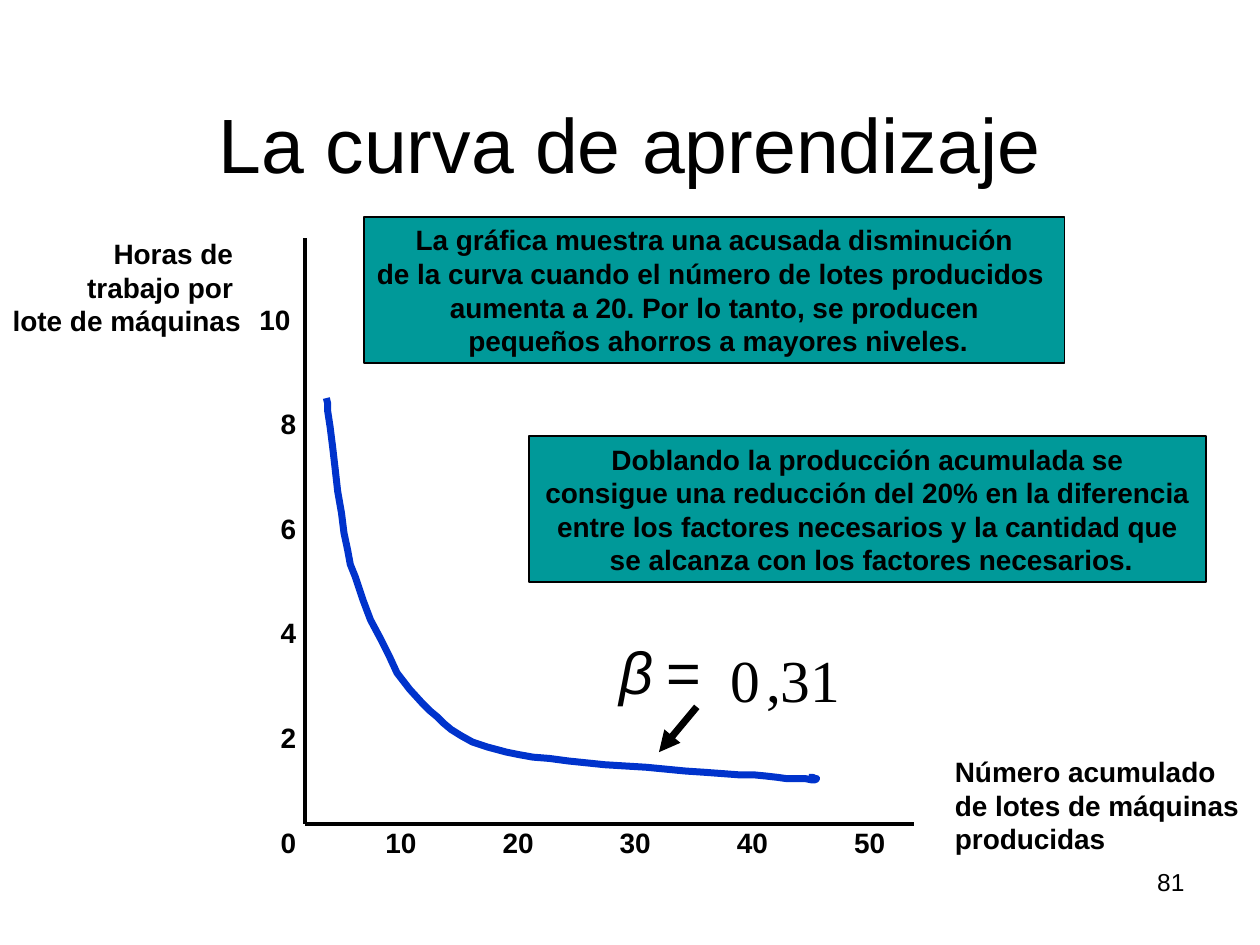
from lxml.etree import SubElement
from pptx import Presentation
from pptx.dml.color import RGBColor
from pptx.enum.shapes import MSO_CONNECTOR, MSO_SHAPE
from pptx.enum.text import MSO_ANCHOR, MSO_AUTO_SIZE, PP_ALIGN
from pptx.oxml.ns import qn
from pptx.util import Inches, Pt

BLACK, TEAL, BLUE = "000000", "009999", "0033CC"
LABEL = {"name": "Arial", "size": Pt(16), "bold": True}
CURVE = [
    (0, 0), (1, 4), (1, 10), (3, 23), (5, 39), (7, 56), (9, 74), (12, 91),
    (14, 107), (17, 121), (19, 132), (23, 142), (29, 160), (35, 176),
    (43, 191), (50, 205), (56, 218), (66, 231), (76, 242), (82, 248),
    (88, 253), (93, 258), (99, 263), (107, 268), (116, 273), (128, 277),
    (143, 281), (153, 283), (164, 285), (177, 286), (192, 288), (221, 291),
    (254, 293), (285, 296), (300, 297), (314, 298), (327, 299), (339, 299),
    (349, 300), (358, 301), (365, 302), (370, 302), (380, 302), (385, 303),
    (388, 303), (389, 302), (388, 302), (386, 301), (383, 301),
]


def color(hex_string):
    return RGBColor.from_string(hex_string)


def write(sp, lines, font, align=PP_ALIGN.LEFT, anchor=MSO_ANCHOR.TOP,
          wrap=False, inset=(0.1, 0.05)):
    tf = sp.text_frame
    side, edge = (Inches(v) for v in inset)
    fit = MSO_AUTO_SIZE.NONE if wrap else MSO_AUTO_SIZE.SHAPE_TO_FIT_TEXT
    frame = {"word_wrap": wrap, "auto_size": fit, "vertical_anchor": anchor,
             "margin_left": side, "margin_right": side,
             "margin_top": edge, "margin_bottom": edge}
    for key, value in frame.items():
        setattr(tf, key, value)
    for i, line in enumerate(lines):
        p = tf.paragraphs[0] if i == 0 else tf.add_paragraph()
        p.alignment = align
        r = p.add_run()
        r.text = line
        for key, value in font.items():
            setattr(r.font, key, value)
        r.font.color.rgb = color(BLACK)


def add_text(s, box, lines, font=LABEL, **options):
    sp = s.shapes.add_textbox(*map(Inches, box))
    write(sp, lines, font, **options)


def add_line(s, start, end, width, arrow=False):
    line = s.shapes.add_connector(MSO_CONNECTOR.STRAIGHT, *map(Inches, start + end))
    line.line.color.rgb = color(BLACK)
    line.line.width = Pt(width)
    sp_pr = line._element.spPr
    if arrow:
        SubElement(sp_pr.find(qn("a:ln")), qn("a:tailEnd"), type="triangle")
    SubElement(sp_pr, qn("a:effectLst"))


def add_title(s, box, text):
    title = s.shapes.title
    title.left, title.top, title.width, title.height = map(Inches, box)
    write(title, [text], {"name": "Arial", "size": Pt(44)},
          align=PP_ALIGN.CENTER, anchor=MSO_ANCHOR.BOTTOM, wrap=True)


def add_curve(s, left, top):
    points = [(Inches(left + x / 100), Inches(top + y / 100)) for x, y in CURVE]
    builder = s.shapes.build_freeform(*points[0])
    builder.add_line_segments(points[1:], close=False)
    curve = builder.convert_to_shape()
    curve.shadow.inherit = False
    curve.fill.background()
    curve.line.color.rgb = color(BLUE)
    curve.line.width = Pt(4)


def add_graph(s, box):
    left, top, width, height = box
    bottom = top + height
    add_line(s, (left, top), (left, bottom), 2)
    add_line(s, (left, bottom), (left + width, bottom), 2)
    add_text(s, (left + 5.06, bottom - 0.6, 2.51, 0.9),
             ["Número acumulado", "de lotes de máquinas", "producidas"])
    add_text(s, (left - 2.42, top - 0.06, 2.01, 0.9),
             ["Horas de ", "trabajo por ", "lote de máquinas"], align=PP_ALIGN.RIGHT)
    for i in range(5):
        add_text(s, (left + 0.54 + 0.93 * i, bottom - 0.04, 0.46, 0.36), [f"{10 * (i + 1)}"])
    for i in range(6):
        x, label_width = (left - 0.46, 0.46) if i == 5 else (left - 0.29, 0.33)
        add_text(s, (x, bottom - 0.04 - 0.83 * i, label_width, 0.36), [f"{2 * i}"])
    add_curve(s, left + 0.17, top + 1.27)


def add_beta(s, box):
    left, top = box[:2]
    arial = {"name": "Arial", "size": Pt(34)}
    times = {"name": "Times New Roman", "size": Pt(34)}
    parts = [(0, 0, 0.26, "β", {**arial, "italic": True}),
             (0.37, 0, 0.38, "=", arial),
             (0.88, 0.06, 0.24, "0", times),
             (1.16, 0.06, 0.59, ",31", times)]
    for x, y, width, text, font in parts:
        add_text(s, (left + x, top + y, width, 0.57), [text], font, inset=(0, 0))
    add_line(s, (left + 0.61, top + 0.57), (left + 0.31, top + 0.93), 4, arrow=True)


def add_note(s, box, lines):
    sp = s.shapes.add_shape(MSO_SHAPE.RECTANGLE, *map(Inches, box))
    sp.shadow.inherit = False
    sp.fill.solid()
    sp.fill.fore_color.rgb = color(TEAL)
    sp.line.color.rgb = color(BLACK)
    sp.line.width = Pt(1)
    write(sp, lines, LABEL, align=PP_ALIGN.CENTER)


def main():
    prs = Presentation()
    prs.slide_width, prs.slide_height = Inches(10), Inches(7.5)
    s = prs.slides.add_slide(prs.slide_layouts[5])
    add_title(s, (0.5, 0.3, 9, 1.25), "La curva de aprendizaje")
    add_graph(s, (2.42, 1.89, 4.83, 4.65))
    add_note(s, (2.89, 1.72, 5.56, 1.16), [
        "La gráfica muestra una acusada disminución",
        "de la curva cuando el número de lotes producidos ",
        "aumenta a 20. Por lo tanto, se producen",
        " pequeños ahorros a mayores niveles."])
    add_note(s, (4.2, 3.46, 5.37, 1.16), [
        "Doblando la producción acumulada se",
        "consigue una reducción del 20% en la diferencia ",
        "entre los factores necesarios y la cantidad que",
        " se alcanza con los factores necesarios."])
    add_beta(s, (4.92, 5.04, 1.75, 0.93))
    add_text(s, (7.17, 6.83, 2.33, 0.52), ["81"],
             {"name": "Arial", "size": Pt(14)}, align=PP_ALIGN.RIGHT, wrap=True)
    prs.save("out.pptx")


if __name__ == "__main__":
    main()
